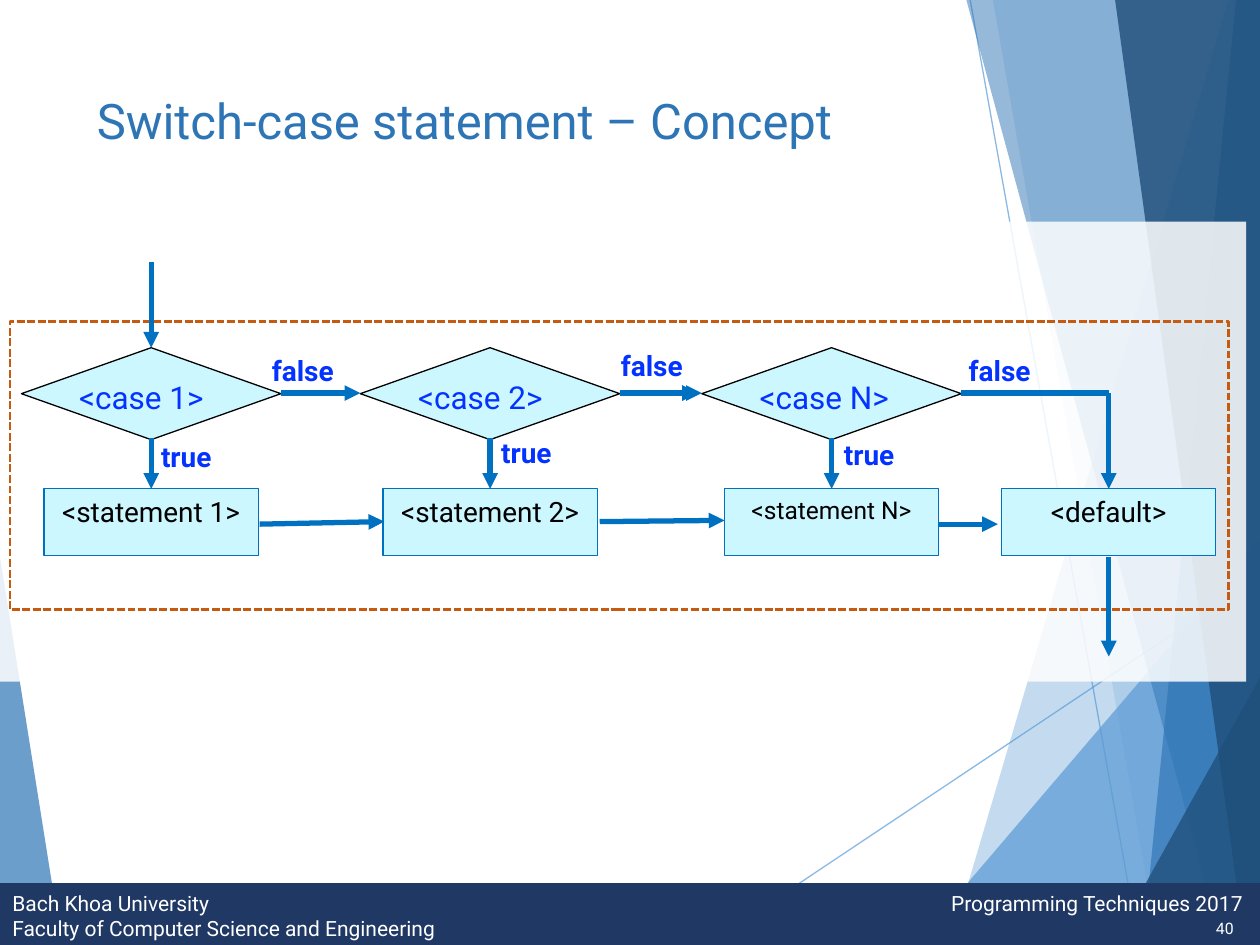
from pptx import Presentation, util as u
from pptx.dml.color import RGBColor
from pptx.enum import dml, shapes, text
from pptx.oxml.ns import qn
from lxml import etree

FLOW, NODE, LABEL, WHITE = "0070C0", "CCF7FF", "0432FF", "FFFFFF"
BOX, DIAMOND = shapes.MSO_SHAPE.RECTANGLE, shapes.MSO_SHAPE.DIAMOND
LEFT, CENTER, RIGHT = text.PP_ALIGN.LEFT, text.PP_ALIGN.CENTER, text.PP_ALIGN.RIGHT

FACETS = [
    ([(9.75, 0), (7.54, 7.5), (10, 7.5), (10, 0)], "5B9BD5", 36),
    ([(7.88, 0), (9.19, 7.5), (10, 7.5), (10, 0)], "5B9BD5", 20),
    ([(7.26, 7.5), (10, 4.29), (10, 7.5)], "5B9BD5", 72),
    ([(7.67, 0), (9.7, 7.5), (10, 7.5), (10, 0)], "2E75B6", 50),
    ([(9.81, 0), (9.07, 7.5), (10, 7.5), (10, 0)], "2E75B6", 66),
    ([(8.85, 0), (9.88, 7.5), (10, 7.5), (10, 0)], "1F4E79", 80),
    ([(8.82, 7.5), (10, 5.38), (10, 7.5)], "1F4E79", 76),
    ([(0, 4.42), (0.49, 7.5), (0, 7.5)], "2E75B6", 70),
]
CASES = [
    ("1", 1.2, 16, 1.28, (1.18, 3.44), (2.06, 2.76)),
    ("2", 3.89, 16, 1.28, (3.88, 3.41), (4.83, 2.72)),
    ("N", 6.6, 14, 1.31, (6.6, 3.42), (7.59, 2.76)),
]
ARROWS = [
    ((1.2, 2.08), (1.2, 2.76)),
    ((2.23, 3.12), (2.86, 3.12)),
    ((4.92, 3.12), (5.54, 3.12)),
    ((4.94, 3.12), (5.57, 3.12)),
    ((8.8, 3.12), (8.8, 3.88)),
    ((2.06, 4.16), (3.05, 4.14)),
    ((4.76, 4.14), (5.75, 4.13)),
    ((7.45, 4.16), (7.92, 4.16)),
    ((8.8, 4.42), (8.8, 5.21)),
]


def paint(color_format, color, opacity=100):
    """Set a colour from a hex string, with opacity in percent."""
    color_format.rgb = RGBColor.from_string(color)
    if opacity < 100:
        holder = color_format._xFill.find(qn("a:srgbClr"))
        etree.SubElement(holder, qn("a:alpha"), val=str(opacity * 1000))


def style(shape, fill=None, opacity=100, outline=None, width=0.75):
    """Give a shape its fill and outline, without a shadow."""
    shape.shadow.inherit = False
    if fill:
        shape.fill.solid()
        paint(shape.fill.fore_color, fill, opacity)
    else:
        shape.fill.background()
    if outline:
        paint(shape.line.color, outline)
        shape.line.width = u.Pt(width)
    else:
        shape.line.fill.background()


def add_block(slide, kind, x, y, w, h, **look):
    """Add a styled preset shape."""
    block = slide.shapes.add_shape(kind, *map(u.Inches, (x, y, w, h)))
    style(block, **look)
    return block


def add_facet(slide, corners, color, opacity):
    """Add one translucent polygon of the background."""
    points = [(u.Inches(x), u.Inches(y)) for x, y in corners]
    outline = slide.shapes.build_freeform(*points[0])
    outline.add_line_segments(points[1:])
    style(outline.convert_to_shape(), color, opacity)


def add_line(slide, start, end, color=FLOW, width=3, opacity=100, arrow=True):
    """Add a straight line, ending in an arrowhead if wanted."""
    line = slide.shapes.add_connector(
        shapes.MSO_CONNECTOR.STRAIGHT, *map(u.Inches, (*start, *end)))
    line.line.width = u.Pt(width)
    line.line.fill.solid()
    paint(line.line.fill.fore_color, color, opacity)
    if arrow:
        etree.SubElement(line.line._get_or_add_ln(), qn("a:tailEnd"), type="triangle")
    etree.SubElement(line._element.spPr, qn("a:effectLst"))


def write(shape, words, size, color, align=LEFT, anchor=text.MSO_ANCHOR.TOP, bold=False):
    """Put text in a shape and format it."""
    frame = shape.text_frame
    frame.text = words
    frame.word_wrap = True
    frame.vertical_anchor = anchor
    for paragraph in frame.paragraphs:
        paragraph.alignment = align
        for run in paragraph.runs:
            run.font.name = "Roboto"
            run.font.size = u.Pt(size)
            run.font.bold = bold
            paint(run.font.color, color)
    return frame


def add_label(slide, words, x, y, w, h, size, color, wrap=False, **format):
    """Add a text box, fitted to its text unless it wraps."""
    label = slide.shapes.add_textbox(*map(u.Inches, (x, y, w, h)))
    frame = write(label, words, size, color, **format)
    if not wrap:
        frame.word_wrap = False
        frame.auto_size = text.MSO_AUTO_SIZE.SHAPE_TO_FIT_TEXT


def add_footer(slide):
    """Add the footer bar with the course name on a tab stop."""
    footer = add_block(slide, BOX, 0, 7.01, 10, 0.51, fill="203864")
    words = ("Bach Khoa University\tProgramming Techniques 2017\n"
             "Faculty of Computer Science and Engineering")
    frame = write(footer, words, 12, WHITE, anchor=text.MSO_ANCHOR.MIDDLE)
    tabs = etree.SubElement(frame.paragraphs[0]._p.get_or_add_pPr(), qn("a:tabLst"))
    etree.SubElement(tabs, qn("a:tab"), pos=str(u.Inches(7.45)), algn="l")


def add_statement(slide, words, center, size):
    """Add a statement box centred on its column."""
    box = add_block(slide, BOX, center - 0.85, 3.88, 1.7, 0.53, fill=NODE, outline=FLOW)
    write(box, words, size, "000000", CENTER)


def add_case(slide, number, center, size, width, true_at, false_at):
    """Add a case test, its statement and its two branch labels."""
    add_statement(slide, f"<statement {number}>", center, size)
    add_block(slide, DIAMOND, center - 1.03, 2.76, 2.06, 0.73, fill=NODE, outline="000000")
    add_label(slide, f"<case {number}>", center - 0.67, 2.95, width, 0.4, 18, LABEL)
    add_line(slide, (center, 3.48), (center, 3.88))
    add_label(slide, "true", *true_at, 0.67, 0.37, 16, LABEL, bold=True)
    add_label(slide, "false", *false_at, 0.74, 0.37, 16, LABEL, bold=True)


def main():
    """Build the slide and save it."""
    deck = Presentation()
    deck.slide_width, deck.slide_height = u.Inches(10), u.Inches(7.5)
    slide = deck.slides.add_slide(deck.slide_layouts[6])
    for start, end in (((5.61, 7.5), (10, 4.57)), ((7.7, 0), (9.04, 7.5))):
        add_line(slide, start, end, "5B9BD5", 0.75, 70, arrow=False)
    for facet in FACETS:
        add_facet(slide, *facet)
    add_footer(slide)
    add_block(slide, BOX, 0, 1.76, 9.89, 3.65, fill=WHITE, opacity=85)
    add_label(slide, "Switch-case statement – Concept", 0.67, 0.67, 6.94, 1.1,
              28, "2E75B6", wrap=True)
    add_label(slide, "40", 9.33, 7.17, 0.56, 0.4, 9, WHITE, wrap=True,
              align=RIGHT, anchor=text.MSO_ANCHOR.MIDDLE)
    scope = add_block(slide, BOX, 0.08, 2.55, 9.67, 2.29, outline="C55A11", width=1.5)
    scope.line.dash_style = dml.MSO_LINE.SQUARE_DOT
    for case in CASES:
        add_case(slide, *case)
    add_statement(slide, "<default>", 8.8, 16)
    add_line(slide, (7.63, 3.12), (8.8, 3.12), arrow=False)
    for start, end in ARROWS:
        add_line(slide, start, end)
    deck.save("out.pptx")


if __name__ == "__main__":
    main()
